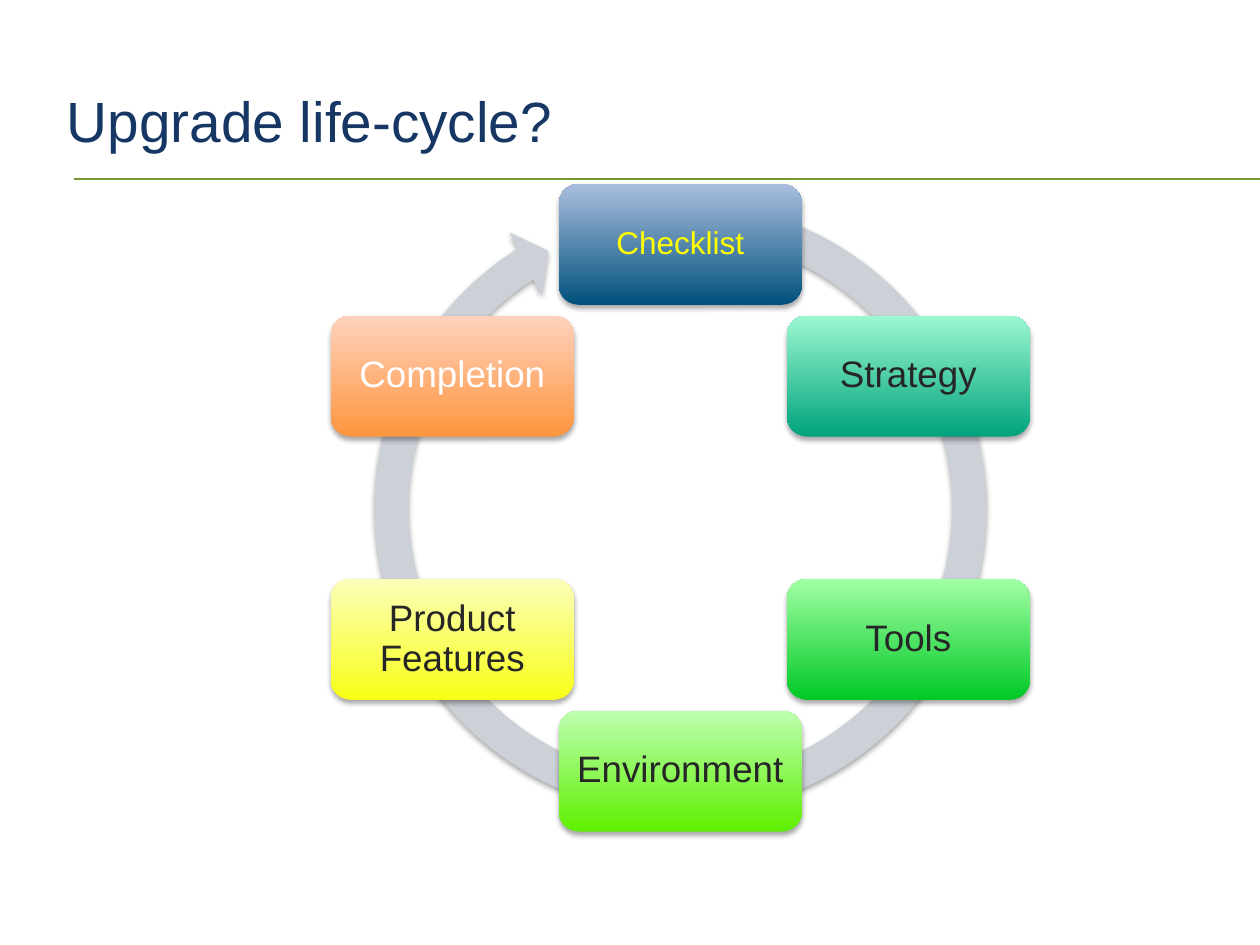
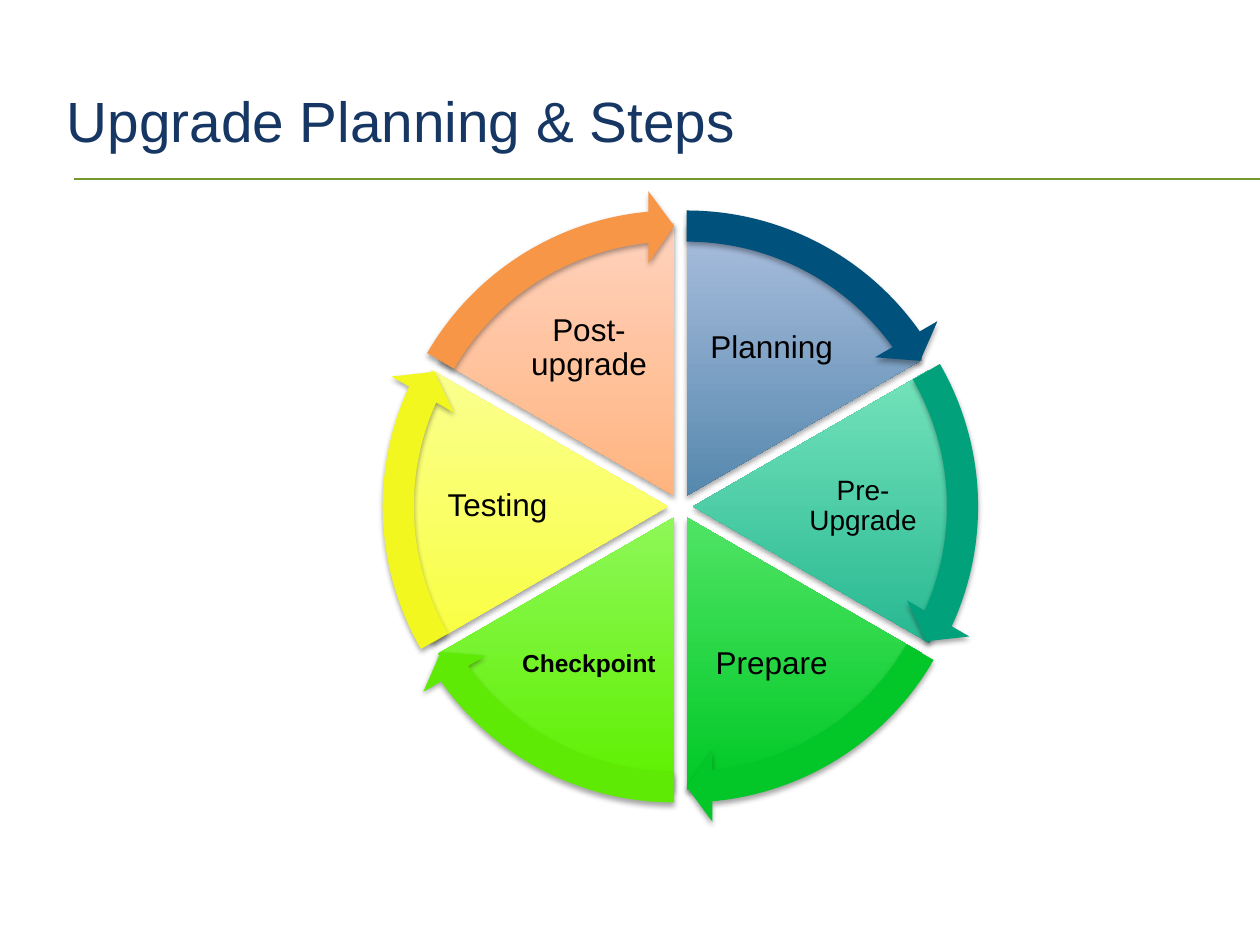
"""Build two slides on the upgrade life-cycle and its planning steps."""
import math

import pptx
import pptx.util
import pptx.dml.color
import pptx.enum.dml
import pptx.enum.shapes
import pptx.enum.text
import pptx.oxml
import pptx.oxml.ns

INK = {
    "title": "163764", "rule": "75982F", "ring": "CCD0D7", "dark": "262626",
    "black": "000000", "white": "FFFFFF", "yellow": "FFFF00",
}
HUES = [
    ("00517C", "AABEDE"), ("00A37D", "9CF8D0"), ("00C926", "A2FFA5"),
    ("5EF000", "BEFFB2"), ("F8FF17", "FBFFB9"), ("FF953E", "FFD2BD"),
]
RIMS = ["00517C", "01A17C", "03C628", "5FEA06", "F1F71F", "F79646"]
CYCLE = [
    ("Checklist", 18, "yellow"), ("Strategy", 21, "dark"),
    ("Tools", 21, "dark"), ("Environment", 21, "dark"),
    ("Product Features", 21, "dark"), ("Completion", 21, "white"),
]
STEPS = [
    ("Planning", 18, False), ("Pre-Upgrade", 16, False),
    ("Prepare", 18, False), ("Checkpoint", 14, True),
    ("Testing", 18, False), ("Post-upgrade", 18, False),
]
TURN = 216
STEP = TURN / 6
FIRST = 162
SHADE = (
    '<a:outerShdw %s blurRad="39370" dist="22860" dir="5400000" '
    'rotWithShape="0"><a:srgbClr val="000000"><a:alpha val="35000"/>'
    '</a:srgbClr></a:outerShdw>'
) % pptx.oxml.ns.nsdecls("a")

Inches = pptx.util.Inches
Pt = pptx.util.Pt
KIND = pptx.enum.shapes.MSO_SHAPE
ALIGN = pptx.enum.text.PP_ALIGN
MID = pptx.enum.text.MSO_ANCHOR.MIDDLE


def rgb(hue):
    return pptx.dml.color.RGBColor.from_string(hue)


def apply(item, form):
    for key, val in form.items():
        setattr(item, key, val)


def box(mid, wide, high):
    x, y = mid
    return [Inches(n) for n in (x - wide / 2, y - high / 2, wide, high)]


def polar(mid, reach, deg):
    turn = math.radians(deg)
    return mid[0] + reach * math.cos(turn), mid[1] + reach * math.sin(turn)


def write(shape, text, size, hue, bold=False, inset=0.1, side=ALIGN.CENTER,
          space=0.9):
    frame = shape.text_frame
    frame.text = text
    form = {"word_wrap": True, "vertical_anchor": MID,
            "auto_size": pptx.enum.text.MSO_AUTO_SIZE.NONE}
    for edge in ("left", "top", "right", "bottom"):
        form["margin_" + edge] = Inches(inset)
    apply(frame, form)
    para = frame.paragraphs[0]
    apply(para, {"alignment": side, "line_spacing": space})
    apply(para.font, {"name": "Arial", "size": Pt(size), "bold": bold})
    para.font.color.rgb = rgb(hue)


def draw(slide, kind, place, fill, adjust=()):
    shape = slide.shapes.add_shape(kind, *place)
    for i, val in enumerate(adjust):
        shape.adjustments[i] = val
    if isinstance(fill, tuple):
        shape.fill.gradient()
        shape.fill.gradient_angle = 90
        for stop, hue in zip(shape.fill.gradient_stops, fill):
            stop.color.rgb = rgb(hue)
    else:
        shape.fill.solid()
        shape.fill.fore_color.rgb = rgb(fill)
    shape.line.fill.background()
    shape.shadow.inherit = False
    glow = shape._element.spPr.find(pptx.oxml.ns.qn("a:effectLst"))
    glow.append(pptx.oxml.parse_xml(SHADE))
    return shape


def start(deck, text):
    slide = deck.slides.add_slide(deck.slide_layouts[5])
    title = slide.shapes.title
    apply(title, {"left": Inches(0.43), "top": Inches(0.7),
                  "width": Inches(9.15), "height": Inches(0.5)})
    write(title, text, 32.4, INK["title"], side=ALIGN.LEFT, space=1.0)
    rule = slide.shapes.add_connector(
        pptx.enum.shapes.MSO_CONNECTOR.STRAIGHT,
        Inches(0.59), Inches(1.42), Inches(10), Inches(1.42))
    rule.line.color.rgb = rgb(INK["rule"])
    rule.line.width = Pt(1)
    rule._element.spPr.append(pptx.oxml.parse_xml(
        "<a:effectLst %s/>" % pptx.oxml.ns.nsdecls("a")))
    return slide


def cycle(deck):
    slide = start(deck, "Upgrade life-cycle?")
    mid = (5.4, 4.03)
    draw(slide, KIND.CIRCULAR_ARROW, box(mid, 5.15, 5.15), INK["ring"],
         (0.053, 3.126, 142.553, 171.111, 0.055))
    for i, (text, size, hue) in enumerate(CYCLE):
        place = box(polar(mid, 2.09, 60 * i - 90), 1.93, 0.96)
        node = draw(slide, KIND.ROUNDED_RECTANGLE, place, HUES[i])
        write(node, text, size, INK[hue], inset=0.09)


def wheel(deck):
    slide = start(deck, "Upgrade Planning & Steps")
    mid = (5.4, 4.02)
    hubs = [polar(mid, 0.1, 60 * i - 60) for i in range(len(STEPS))]
    turns = [(FIRST + STEP * i) % TURN for i in range(len(STEPS))]
    for i, (text, size, bold) in enumerate(STEPS):
        draw(slide, KIND.PIE, box(hubs[i], 4.32, 4.32), HUES[i],
             (turns[i], (turns[i] + STEP) % TURN))
        label = slide.shapes.add_textbox(
            *box(polar(mid, 1.45, 60 * i - 60), 1.14, 0.86))
        write(label, text, size, INK["black"], bold, 0.02)
    for hub, turn, hue in zip(hubs, turns, RIMS):
        tip = (turn + 32.725) % TURN
        draw(slide, KIND.CIRCULAR_ARROW, box(hub, 4.85, 4.85), hue,
             (0.051, 3.275, tip, turn, 0.059))


def main():
    deck = pptx.Presentation()
    apply(deck, {"slide_width": Inches(10), "slide_height": Inches(7.5)})
    cycle(deck)
    wheel(deck)
    deck.save("out.pptx")


if __name__ == "__main__":
    main()
